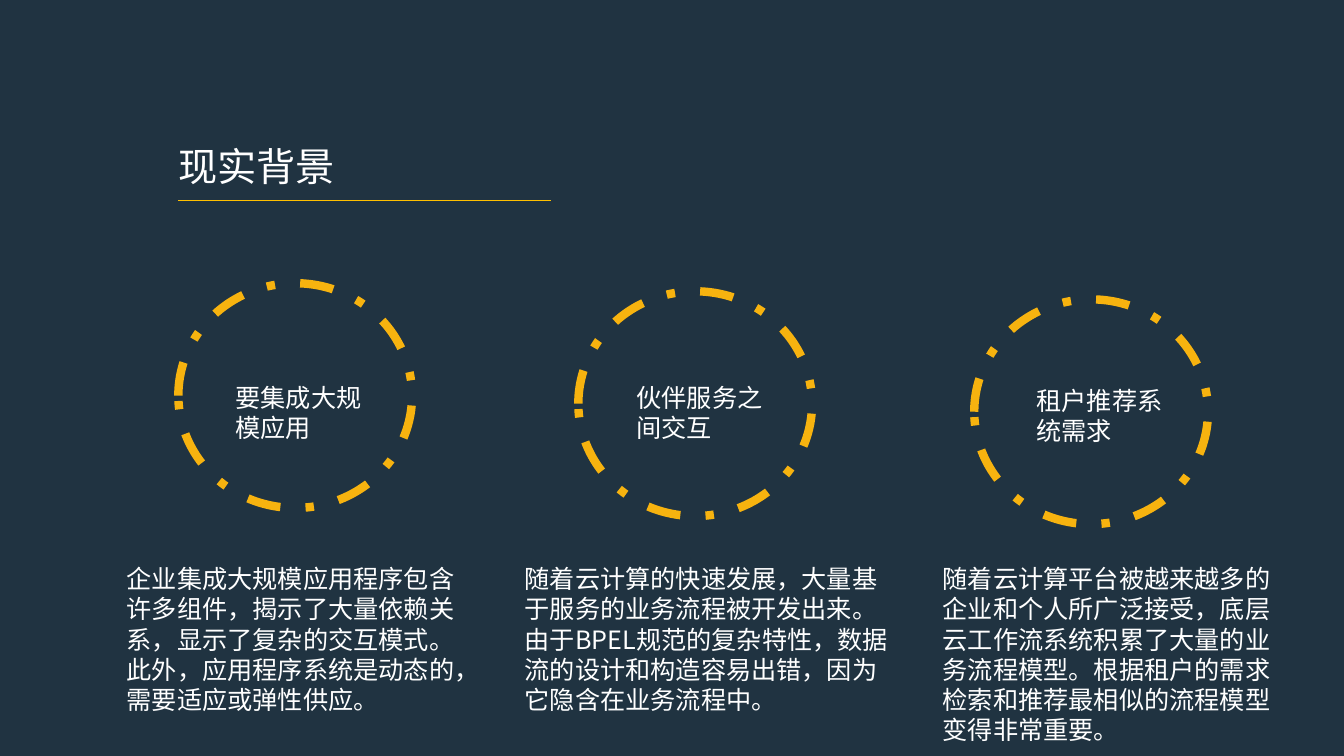
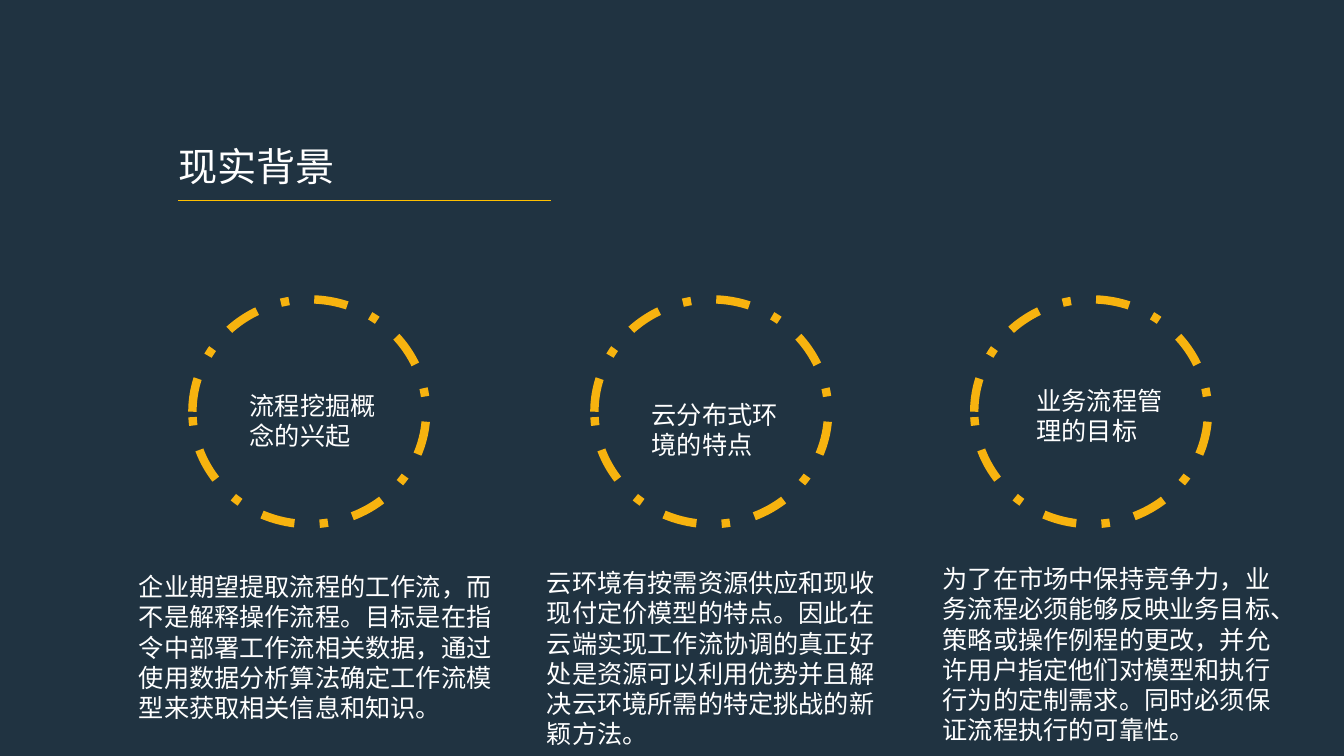
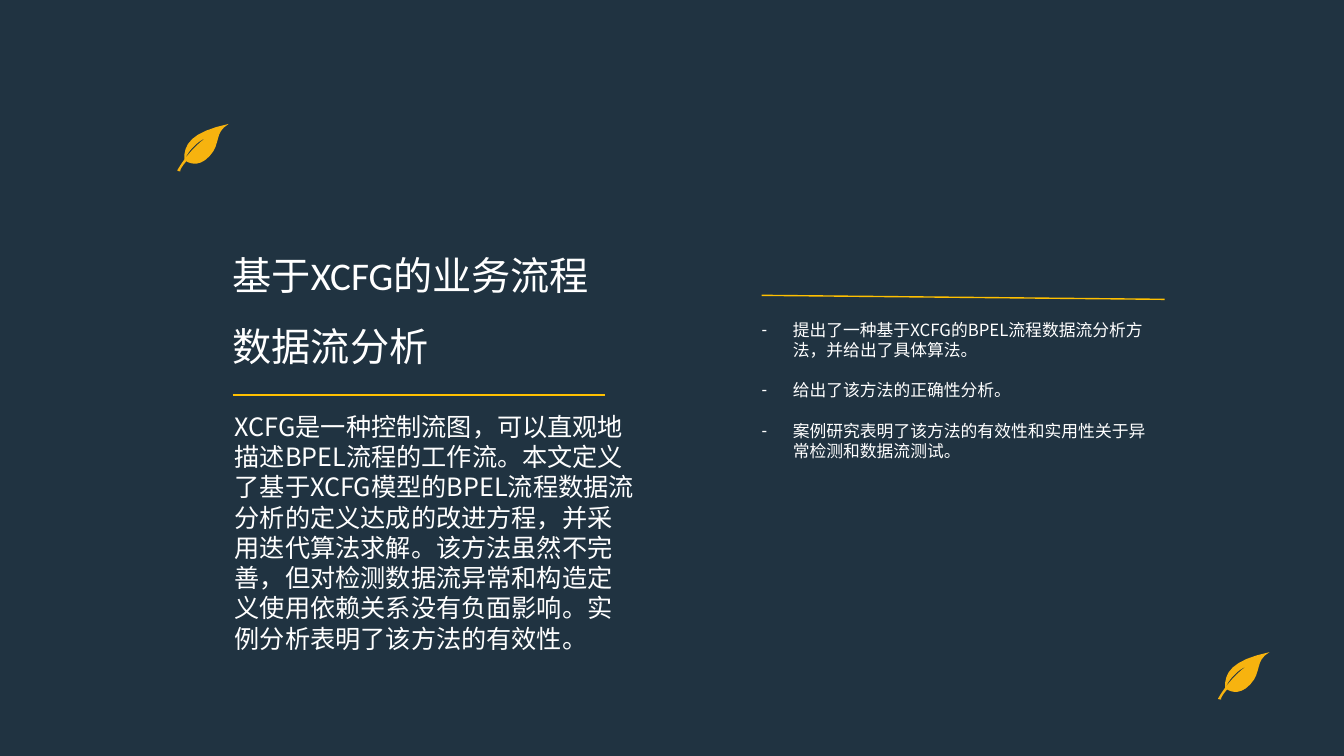
from dataclasses import dataclass
from lxml.etree import SubElement
from pptx import Presentation
from pptx.dml.color import RGBColor
from pptx.enum.dml import MSO_LINE
from pptx.enum.shapes import MSO_CONNECTOR, MSO_SHAPE
from pptx.enum.text import MSO_ANCHOR, MSO_AUTO_SIZE, PP_ALIGN
from pptx.oxml.ns import qn
from pptx.util import Emu, Pt


@dataclass(frozen=True)
class Theme:
    ground: RGBColor = RGBColor.from_string("203341")
    gold: RGBColor = RGBColor.from_string("F7B30F")
    rule: RGBColor = RGBColor.from_string("FFC000")
    ink: RGBColor = RGBColor.from_string("FFFFFF")
    latin: str = "Calibri"
    cjk: str = "Noto Sans CJK SC"
    title: int = 28
    text: int = 18
    small: int = 12
    list_gap: float = 14.4
    rule_width: int = 1
    ring_width: int = 6


T = Theme()
PX = 9144
SLIDE = (1334, 750)
RING = (232, 223)
LABEL = (165, 70)
RULE_W = 370
INSET = 10
HANG = 31
CURVE_STEPS = 8

BACKGROUND_TITLE = ("现实背景", (167, 136, 344, 57), 199)

RING_SLIDES = [
    [
        {"ring": (177, 281), "label": ("要集成大规模应用", 224, 374),
         "body": ("企业集成大规模应用程序包含许多组件，揭示了大量依赖关系，显示了复杂的交互模式。"
                  "此外，应用程序系统是动态的，需要适应或弹性供应。", (116, 554, 369, 160))},
        {"ring": (574, 289), "label": ("伙伴服务之间交互", 622, 374),
         "body": ("随着云计算的快速发展，大量基于服务的业务流程被开发出来。由于BPEL规范的复杂特性，"
                  "数据流的设计和构造容易出错，因为它隐含在业务流程中。", (511, 554, 381, 160))},
        {"ring": (967, 297), "label": ("租户推荐系统需求", 1019, 377),
         "body": ("随着云计算平台被越来越多的企业和个人所广泛接受，底层云工作流系统积累了大量的业务流程模型。"
                  "根据租户的需求检索和推荐最相似的流程模型变得非常重要。", (926, 554, 350, 190))},
    ],
    [
        {"ring": (191, 297), "label": ("流程挖掘概念的兴起", 238, 382),
         "body": ("企业期望提取流程的工作流，而不是解释操作流程。目标是在指令中部署工作流相关数据，"
                  "通过使用数据分析算法确定工作流模型来获取相关信息和知识。", (128, 562, 381, 160))},
        {"ring": (590, 297), "label": ("云分布式环境的特点", 637, 391),
         "body": ("云环境有按需资源供应和现收现付定价模型的特点。因此在云端实现工作流协调的真正好处是"
                  "资源可以利用优势并且解决云环境所需的特定挑战的新颖方法。", (533, 558, 369, 190))},
        {"ring": (967, 297), "label": ("业务流程管理的目标", 1019, 377),
         "body": ("为了在市场中保持竞争力，业务流程必须能够反映业务目标、策略或操作例程的更改，"
                  "并允许用户指定他们对模型和执行行为的定制需求。同时必须保证流程执行的可靠性。",
                  (926, 554, 350, 190))},
    ],
]

XCFG_TITLE = ("基于XCFG的业务流程数据流分析", (221, 221, 380, 150), 392)
XCFG_SUMMARY = (
    "XCFG是一种控制流图，可以直观地描述BPEL流程的工作流。本文定义了基于XCFG模型的BPEL流程数据流分析的"
    "定义达成的改进方程，并采用迭代算法求解。该方法虽然不完善，但对检测数据流异常和构造定义使用依赖关系"
    "没有负面影响。实例分析表明了该方法的有效性。", (223, 403, 419, 250))
XCFG_POINTS = ([
    "提出了一种基于XCFG的BPEL流程数据流分析方法，并给出了具体算法。",
    "给出了该方法的正确性分析。",
    "案例研究表明了该方法的有效性和实用性关于异常检测和数据流测试。",
], (746, 312, 409, 156))
POINTS_RULE = (756, 293, 1156, 297)

LEAVES = [(176, 123), (1209, 647)]
LEAF_START = (0, 46)
LEAF_CURVES = [
    ((0, 46), (0, 47), (3, 47)),
    ((2, 45), (9, 37), (9, 37)),
    ((9, 37), (20, 45), (32, 32)),
    ((44, 19), (36, 9), (51, 0)),
    ((14, 8), (6, 20), (7, 36)),
    ((10, 28), (19, 18), (28, 14)),
    ((14, 24), (4, 39), (0, 46)),
]


def px(*values):
    return [Emu(round(v * PX)) for v in values]


def place(sp, box):
    sp.left, sp.top, sp.width, sp.height = px(*box)


def write(sp, texts, size, latin, bullet=None, spacing=1.0, gap=0):
    tf = sp.text_frame
    tf.word_wrap = True
    tf.auto_size = MSO_AUTO_SIZE.NONE
    tf.vertical_anchor = MSO_ANCHOR.TOP
    for i, text in enumerate(texts):
        p = tf.add_paragraph() if i else tf.paragraphs[0]
        p.text = text
        p.alignment = PP_ALIGN.LEFT
        p.line_spacing = spacing
        p.space_before = Pt(gap if i else 0)
        p.font.size, p.font.name = Pt(size), latin
        p.font.color.rgb = T.ink
        pPr = p._p.get_or_add_pPr()
        SubElement(pPr.find(qn("a:defRPr")), qn("a:ea"), typeface=T.cjk)
        hang = HANG * PX if bullet else 0
        pPr.set("marL", str(hang))
        pPr.set("indent", str(-hang))
        mark = pPr.makeelement(qn("a:buChar" if bullet else "a:buNone"),
                               {"char": bullet} if bullet else {})
        pPr.find(qn("a:defRPr")).addprevious(mark)


def add_rule(s, ends):
    line = s.shapes.add_connector(MSO_CONNECTOR.STRAIGHT, *px(*ends))
    line.line.color.rgb = T.rule
    line.line.width = Pt(T.rule_width)
    SubElement(line._element.spPr, qn("a:effectLst"))


def add_title(s, title):
    text, box, rule_y = title
    place(s.shapes.title, box)
    write(s.shapes.title, [text], T.title, T.latin, spacing=1.5 if box[3] > 100 else 1.0)
    left = box[0] + INSET
    add_rule(s, (left, rule_y, left + RULE_W, rule_y))


def add_text(s, text, box, latin):
    write(s.shapes.add_textbox(*px(*box)), [text], T.text, latin)


def add_ring(s, corner):
    ring = s.shapes.add_shape(MSO_SHAPE.OVAL, *px(*corner, *RING))
    ring.shadow.inherit = False
    ring.fill.solid()
    ring.fill.fore_color.rgb = T.ground
    ring.line.color.rgb = T.gold
    ring.line.width = Pt(T.ring_width)
    ring.line.dash_style = MSO_LINE.DASH_DOT


def leaf_outline():
    start = LEAF_START
    for a, b, end in LEAF_CURVES:
        for step in range(1, CURVE_STEPS + 1):
            t = step / CURVE_STEPS
            u = 1 - t
            yield [u**3 * p0 + 3 * u * u * t * p1 + 3 * u * t * t * p2 + t**3 * p3
                   for p0, p1, p2, p3 in zip(start, a, b, end)]
        start = end


def add_leaf(s, corner):
    x, y = corner
    builder = s.shapes.build_freeform(*px(x + LEAF_START[0], y + LEAF_START[1]))
    builder.add_line_segments([px(x + dx, y + dy) for dx, dy in leaf_outline()])
    leaf = builder.convert_to_shape()
    leaf.shadow.inherit = False
    leaf.fill.solid()
    leaf.fill.fore_color.rgb = T.gold
    leaf.line.fill.background()


def add_ring_slide(prs, columns):
    s = prs.slides.add_slide(prs.slide_layouts.get_by_name("Title Only"))
    add_title(s, BACKGROUND_TITLE)
    for column in columns:
        add_ring(s, column["ring"])
        label, x, y = column["label"]
        add_text(s, label, (x, y, *LABEL), T.latin)
        add_text(s, *column["body"], T.cjk)


def add_xcfg_slide(prs):
    s = prs.slides.add_slide(prs.slide_layouts.get_by_name("Two Content"))
    add_title(s, XCFG_TITLE)
    summary, points = s.placeholders[1], s.placeholders[2]
    text, box = XCFG_SUMMARY
    place(summary, box)
    write(summary, [text], T.text, T.cjk)
    items, box = XCFG_POINTS
    place(points, box)
    write(points, items, T.small, T.cjk, bullet="-", gap=T.list_gap)
    add_rule(s, POINTS_RULE)
    for corner in LEAVES:
        add_leaf(s, corner)


def main():
    prs = Presentation()
    prs.slide_width, prs.slide_height = px(*SLIDE)
    fill = prs.slide_master.background.fill
    fill.solid()
    fill.fore_color.rgb = T.ground
    for columns in RING_SLIDES:
        add_ring_slide(prs, columns)
    add_xcfg_slide(prs)
    prs.save("out.pptx")


if __name__ == "__main__":
    main()
